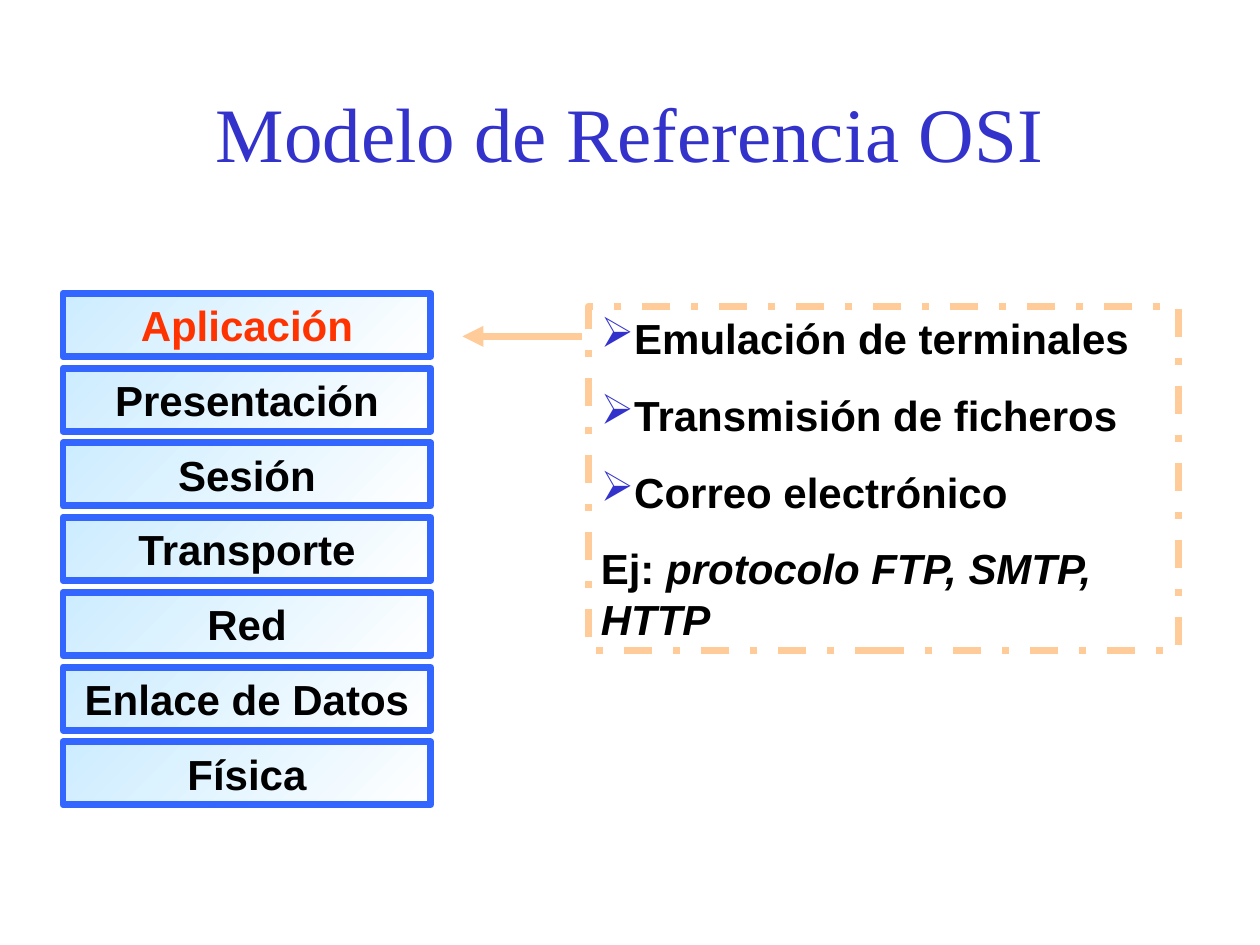
from lxml.etree import SubElement
from pptx import Presentation
from pptx.dml.color import RGBColor
from pptx.enum.dml import MSO_LINE_DASH_STYLE as Dash
from pptx.enum.shapes import MSO_CONNECTOR as Connector, MSO_SHAPE as Preset
from pptx.enum.text import MSO_ANCHOR as Anchor, PP_ALIGN as Align
from pptx.oxml.ns import qn
from pptx.util import Inches, Pt

COLORS = {
    "title": "3333CC",
    "text": "000000",
    "active": "FF3300",
    "border": "3366FF",
    "light": "FFFFFF",
    "tint": "CCECFF",
    "accent": "FFCC99",
}
LAYERS = ["Aplicación", "Presentación", "Sesión", "Transporte", "Red",
          "Enlace de Datos", "Física"]
SERVICES = ["Emulación de terminales", "Transmisión de ficheros",
            "Correo electrónico"]
LAYER_TOP, LAYER_PITCH = 2.33, 0.593


def rgb(name):
    """Return the named colour."""
    return RGBColor.from_string(COLORS[name])


def style_font(paragraph, color="text", face="Arial", size=24, bold=True):
    """Set the font of a whole paragraph."""
    font = paragraph.font
    font.name, font.size, font.bold = face, Pt(size), bold
    font.color.rgb = rgb(color)


def style_line(line, color):
    """Give a line its colour and the common width."""
    line.color.rgb = rgb(color)
    line.width = Pt(4)


def add_box(shapes, left, top, width, height, border):
    """Add an outlined rectangle without a shadow."""
    box = shapes.add_shape(Preset.RECTANGLE, Inches(left), Inches(top),
                           Inches(width), Inches(height))
    box.shadow.inherit = False
    style_line(box.line, border)
    box.text_frame.word_wrap = True
    return box


def add_title(slide, wording):
    """Add the centred slide title."""
    title = slide.shapes.add_textbox(Inches(0.75), Inches(0.42),
                                     Inches(8.5), Inches(1.25))
    frame = title.text_frame
    frame.word_wrap = True
    frame.vertical_anchor = Anchor.MIDDLE
    paragraph = frame.paragraphs[0]
    paragraph.text = wording
    paragraph.alignment = Align.CENTER
    style_font(paragraph, "title", "Times New Roman", 44, False)


def add_layer(shapes, name, top, color):
    """Add one gradient box of the layer stack."""
    layer = add_box(shapes, 0.5, top, 2.92, 0.5, "border")
    layer.fill.gradient()
    layer.fill.gradient_angle = 135
    for stop, shade in zip(layer.fill.gradient_stops, ("light", "tint")):
        stop.color.rgb = rgb(shade)
    layer.text_frame.vertical_anchor = Anchor.TOP
    paragraph = layer.text_frame.paragraphs[0]
    paragraph.text = name
    paragraph.alignment = Align.CENTER
    style_font(paragraph, color)


def add_arrow(shapes, start, end):
    """Add a line with an arrowhead at its start."""
    arrow = shapes.add_connector(Connector.STRAIGHT, *map(Inches, start + end))
    style_line(arrow.line, "accent")
    SubElement(arrow.line._get_or_add_ln(), qn("a:headEnd"), type="triangle")
    SubElement(arrow._element.spPr, qn("a:effectLst"))


def add_bullet(paragraph):
    """Put a coloured arrow bullet before a paragraph."""
    properties = paragraph._p.get_or_add_pPr()
    color = SubElement(properties, qn("a:buClr"))
    SubElement(color, qn("a:srgbClr"), val=COLORS["title"])
    SubElement(properties, qn("a:buChar"), char="➢")


def add_services(shapes):
    """Add the dashed box with the services and protocols of the layer."""
    box = add_box(shapes, 4.67, 2.43, 4.68, 2.73, "accent")
    box.line.dash_style = Dash.DASH_DOT
    box.fill.background()
    frame = box.text_frame
    frame.vertical_anchor = Anchor.MIDDLE
    for index, service in enumerate(SERVICES):
        paragraph = frame.add_paragraph() if index else frame.paragraphs[0]
        paragraph.text = service
        add_bullet(paragraph)
    example = frame.add_paragraph()
    example.add_run().text = "Ej: "
    protocols = example.add_run()
    protocols.text = "protocolo FTP, SMTP, HTTP"
    protocols.font.italic = True
    for index, paragraph in enumerate(frame.paragraphs):
        paragraph.alignment = Align.LEFT
        paragraph.space_before = Pt(15 if index else 0)
        style_font(paragraph)


def main():
    """Build and save the slide."""
    deck = Presentation()
    deck.slide_width, deck.slide_height = Inches(10), Inches(7.5)
    slide = deck.slides.add_slide(deck.slide_layouts[6])
    add_title(slide, "Modelo de Referencia OSI")
    stack = slide.shapes.add_group_shape().shapes
    for index, name in enumerate(LAYERS):
        add_layer(stack, name, LAYER_TOP + index * LAYER_PITCH,
                  "text" if index else "active")
    callout = slide.shapes.add_group_shape().shapes
    add_arrow(callout, (3.67, 2.67), (4.62, 2.67))
    add_services(callout)
    deck.save("out.pptx")


if __name__ == "__main__":
    main()
